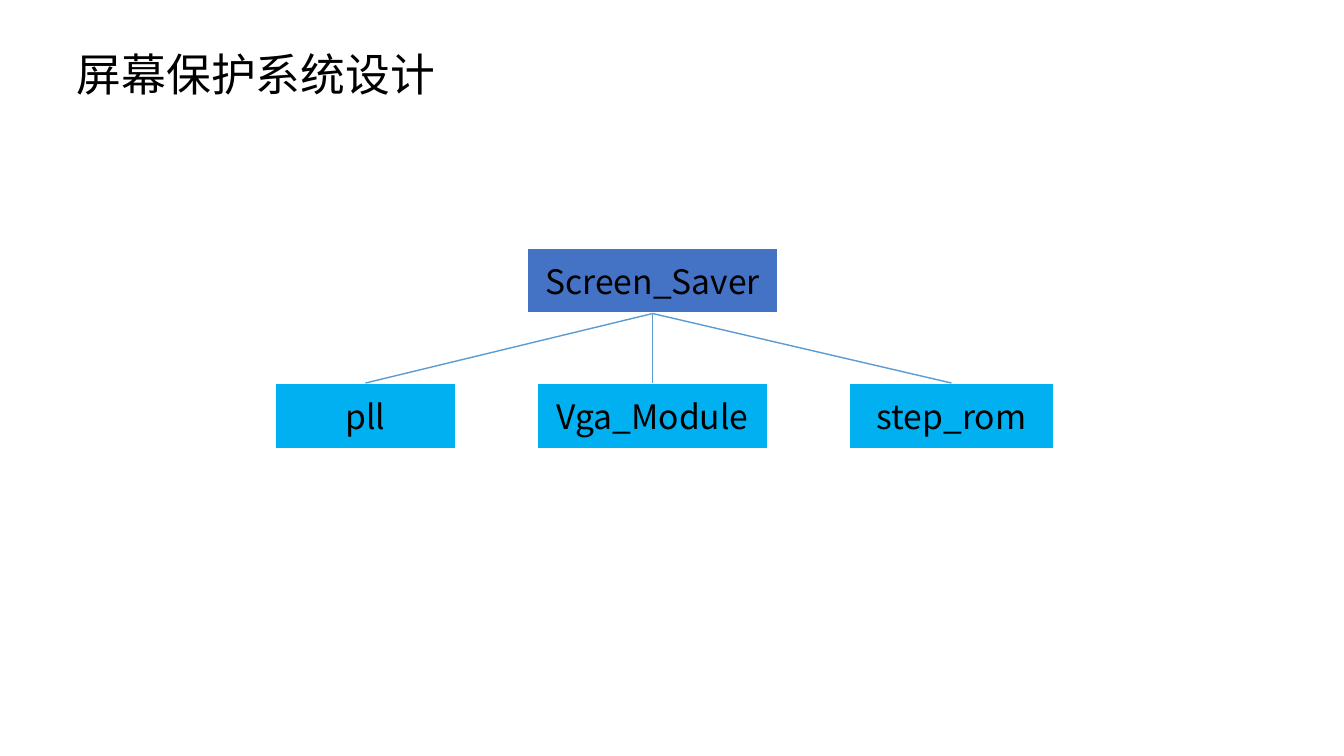
from lxml import etree
from pptx import Presentation, util as u
from pptx.dml.color import RGBColor
from pptx.enum import shapes, text
from pptx.oxml import ns

BLACK = RGBColor(0x00, 0x00, 0x00)
WHITE = RGBColor(0xFF, 0xFF, 0xFF)
ROOT_BLUE = RGBColor(0x44, 0x72, 0xC4)
MODULE_BLUE = RGBColor(0x00, 0xB0, 0xF0)
LINK_BLUE = RGBColor(0x5B, 0x9B, 0xD5)
CJK_FONT = "Noto Sans CJK SC"

presentation = Presentation()
presentation.slide_width = u.Inches(13.33)
presentation.slide_height = u.Inches(7.5)
COLUMN = presentation.slide_width / 100
ROW = presentation.slide_height / 100
slide = presentation.slides.add_slide(presentation.slide_layouts[5])


def write(shape, words, font=CJK_FONT, size=24, align=text.PP_ALIGN.CENTER,
          anchor=text.MSO_ANCHOR.MIDDLE, wrap=True):
    frame = shape.text_frame
    frame.word_wrap = wrap
    frame.auto_size = text.MSO_AUTO_SIZE.NONE
    frame.vertical_anchor = anchor
    paragraph = frame.paragraphs[0]
    paragraph.alignment = align
    run = paragraph.add_run()
    run.text = words
    run.font.name = font
    run.font.size = u.Pt(size)
    run.font.color.rgb = BLACK
    east_asian = etree.SubElement(run.font._element, ns.qn("a:ea"))
    east_asian.set("typeface", CJK_FONT)


def add_box(words, center, top, width, height, color):
    box = slide.shapes.add_shape(
        shapes.MSO_SHAPE.RECTANGLE, int((center - width / 2) * COLUMN),
        int(top * ROW), int(width * COLUMN), int(height * ROW))
    box.shadow.inherit = False
    box.fill.solid()
    box.fill.fore_color.rgb = color
    box.line.color.rgb = WHITE
    box.line.width = u.Pt(1.5)
    write(box, words)
    return box


title = slide.shapes.title
title.left, title.top = int(4.95 * COLUMN), int(5.47 * ROW)
title.width, title.height = int(28.43 * COLUMN), int(8.53 * ROW)
write(title, "屏幕保护系统设计", font="Calibri", size=32,
      align=text.PP_ALIGN.LEFT, anchor=text.MSO_ANCHOR.TOP, wrap=False)

root = add_box("Screen_Saver", 48.56, 32.8, 18.68, 8.67, ROOT_BLUE)

for name, center, width in [("pll", 27.19, 13.43),
                            ("Vga_Module", 48.56, 17.18),
                            ("step_rom", 70.8, 15.3)]:
    module = add_box(name, center, 50.67, width, 8.8, MODULE_BLUE)
    link = slide.shapes.add_connector(shapes.MSO_CONNECTOR.STRAIGHT, 0, 0, 0, 0)
    link.begin_connect(root, 2)
    link.end_connect(module, 0)
    link.line.color.rgb = LINK_BLUE
    link.line.width = u.Pt(1)
    etree.SubElement(link._element.spPr, ns.qn("a:effectLst"))

presentation.save("out.pptx")
